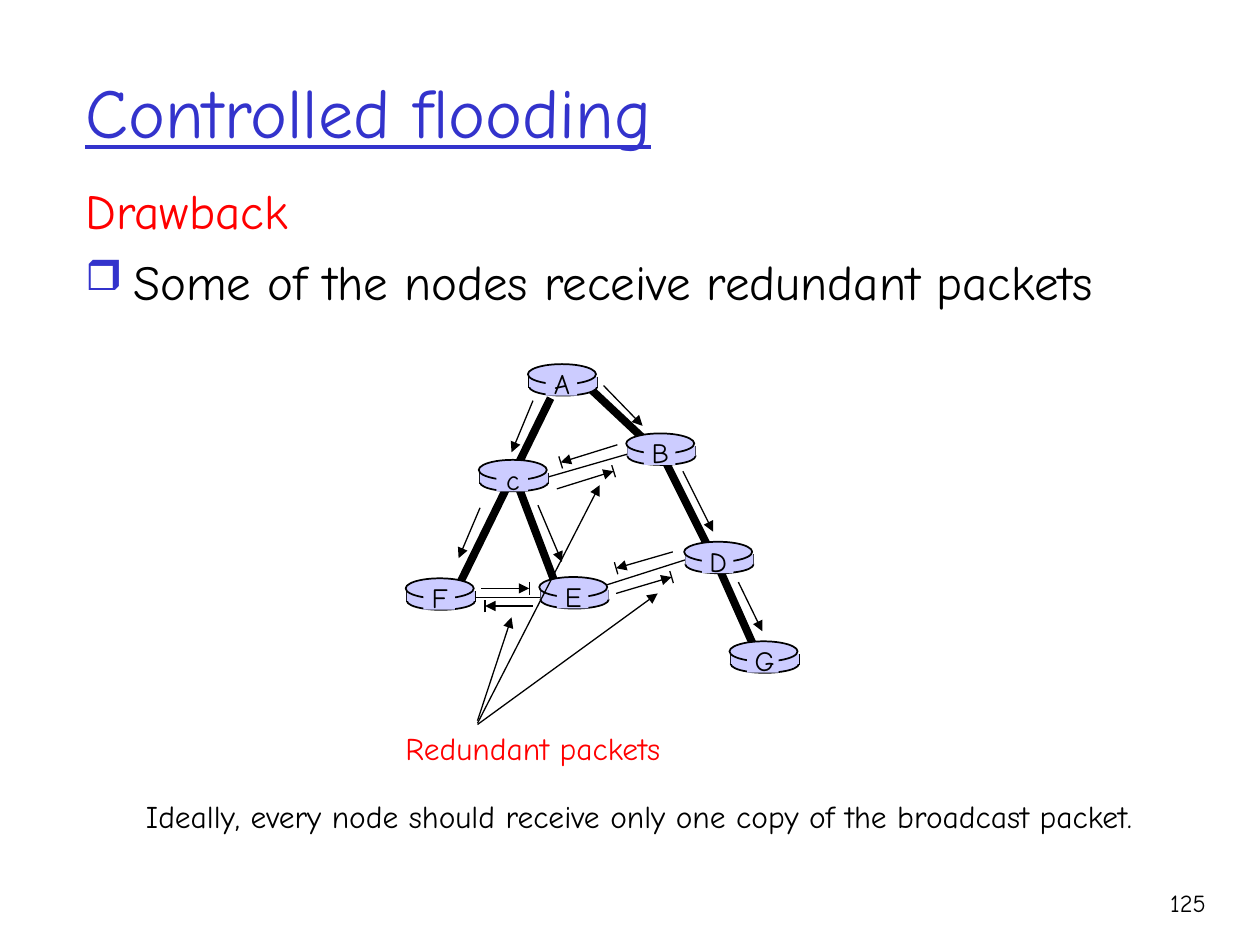
import math
from dataclasses import dataclass

from lxml import etree
from pptx import Presentation
from pptx import util as u
from pptx.dml.color import RGBColor
from pptx.enum import shapes, text
from pptx.oxml.ns import qn


@dataclass(frozen=True)
class Theme:
    font: str = "Comic Neue"
    blue: str = "3333CC"
    red: str = "FF0000"
    black: str = "000000"
    router: str = "CCCCFF"
    title: int = 40
    body: int = 28
    note: int = 18
    label: int = 16
    page: int = 14
    thin: float = 0.75
    edge: float = 1
    thick: float = 4.5


class Builder:
    def __init__(self, slide, theme):
        self.s = slide
        self.t = theme

    def box(self, x, y, w, h, anchor=text.MSO_ANCHOR.TOP, wrap=True):
        tf = self.s.shapes.add_textbox(*map(u.Inches, (x, y, w, h))).text_frame
        tf.word_wrap = wrap
        tf.vertical_anchor = anchor
        return tf

    def run(self, p, words, size, color, underline=None):
        r = p.add_run()
        r.text = words
        r.font.name = self.t.font
        r.font.size = u.Pt(size)
        r.font.color.rgb = RGBColor.from_string(color)
        r.font.underline = underline

    def text(self, x, y, w, h, words, size, color,
             align=text.PP_ALIGN.LEFT, wrap=True):
        p = self.box(x, y, w, h, wrap=wrap).paragraphs[0]
        p.alignment = align
        self.run(p, words, size, color)

    def bullet(self, p, char, color, percent):
        pPr = p._p.get_or_add_pPr()
        pPr.set("marL", str(u.Inches(0.38)))
        pPr.set("indent", str(u.Inches(-0.38)))
        if char:
            clr = etree.SubElement(pPr, qn("a:buClr"))
            etree.SubElement(clr, qn("a:srgbClr"), val=color)
            etree.SubElement(pPr, qn("a:buSzPct"), val=str(percent * 1000))
            etree.SubElement(pPr, qn("a:buChar"), char=char)
        else:
            etree.SubElement(pPr, qn("a:buNone"))

    def line(self, x1, y1, x2, y2, width, arrow=False):
        sp = self.s.shapes.add_connector(
            shapes.MSO_CONNECTOR.STRAIGHT, *map(u.Inches, (x1, y1, x2, y2)))
        sp.line.width = u.Pt(width)
        sp.line.color.rgb = RGBColor.from_string(self.t.black)
        if arrow:
            etree.SubElement(sp.line._get_or_add_ln(), qn("a:tailEnd"),
                             type="triangle")
        etree.SubElement(sp._element.spPr, qn("a:effectLst"))

    def arrow(self, x1, y1, x2, y2):
        self.line(x1, y1, x2, y2, self.t.thin, arrow=True)

    def stopped_arrow(self, x1, y1, x2, y2):
        """Arrow with a short bar across its tip."""
        self.arrow(x1, y1, x2, y2)
        k = 0.05 / math.hypot(x2 - x1, y2 - y1)
        dx, dy = (y1 - y2) * k, (x2 - x1) * k
        self.line(x2 - dx, y2 - dy, x2 + dx, y2 + dy, self.t.thin)

    def shape(self, kind, x, y, w, h, outlined=False):
        sp = self.s.shapes.add_shape(kind, *map(u.Inches, (x, y, w, h)))
        sp.shadow.inherit = False
        sp.fill.solid()
        sp.fill.fore_color.rgb = RGBColor.from_string(self.t.router)
        if outlined:
            sp.line.width = u.Pt(self.t.edge)
            sp.line.color.rgb = RGBColor.from_string(self.t.black)
        else:
            sp.line.fill.background()

    def router(self, name, x, y):
        oval, rect = shapes.MSO_SHAPE.OVAL, shapes.MSO_SHAPE.RECTANGLE
        w = 0.54
        self.shape(oval, x + 0.01, y + 0.11, w, 0.14, outlined=True)
        for side in (x + 0.01, x + 0.01 + w):
            self.line(side, y + 0.1, side, y + 0.19, self.t.edge)
        self.shape(rect, x + 0.01, y + 0.1, w, 0.08)
        self.shape(oval, x, y, w, 0.16, outlined=True)
        self.shape(rect, x + 0.14, y + 0.02, 0.25, 0.23)
        self.text(x + 0.1, y - 0.03, 0.34, 0.37, name, self.t.label,
                  self.t.black, text.PP_ALIGN.CENTER, wrap=False)


TREE_LINKS = [
    (5.25, 3.6, 5.62, 4.34), (5.64, 4.36, 6.01, 5.19), (4.41, 4.64, 4.11, 3.85),
    (4.69, 3.09, 5.17, 3.54), (4.37, 3.16, 3.63, 4.67),
]
OTHER_LINKS = [
    (5.45, 4.44, 4.79, 4.65), (4.44, 4.74, 3.64, 4.74), (4.3, 3.8, 5.03, 3.59),
]
ROUTERS = {
    "A": (4.19, 2.89), "B": (4.97, 3.44), "G": (5.79, 5.09), "D": (5.43, 4.3),
    "E": (4.28, 4.58), "c": (3.8, 3.65), "F": (3.22, 4.59),
}
FORWARDED = [
    (4.23, 3.18, 4.06, 3.59), (3.81, 4.03, 3.64, 4.43), (4.79, 3.06, 5.1, 3.38),
    (5.42, 3.74, 5.66, 4.22), (5.86, 4.62, 6.05, 5.01), (4.27, 4.01, 4.46, 4.46),
]
REDUNDANT = [
    (4.9, 3.53, 4.45, 3.67), (4.42, 3.88, 4.87, 3.74),
    (5.34, 4.38, 4.89, 4.51), (4.89, 4.71, 5.33, 4.58),
    (3.82, 4.67, 4.2, 4.67), (4.23, 4.81, 3.85, 4.81),
]
POINTERS = [
    (3.79, 5.72, 4.06, 4.9), (3.79, 5.74, 4.76, 3.85), (3.79, 5.75, 5.22, 4.71),
]


def main():
    prs = Presentation()
    prs.slide_width, prs.slide_height = u.Inches(10), u.Inches(7.5)
    t = Theme()
    b = Builder(prs.slides.add_slide(prs.slide_layouts[6]), t)

    # Title
    tf = b.box(0.58, 0.25, 8.5, 1.25, text.MSO_ANCHOR.MIDDLE)
    b.run(tf.paragraphs[0], "Controlled flooding", t.title, t.blue, True)

    # Body
    tf = b.box(0.58, 1.38, 8.5, 1.69)
    points = [("Drawback", t.red, None),
              ("Some of the nodes receive redundant packets", t.black, "❒")]
    for i, (words, color, char) in enumerate(points):
        p = tf.add_paragraph() if i else tf.paragraphs[0]
        p.space_before = u.Pt(7)
        b.bullet(p, char, t.blue, 85)
        b.run(p, words, t.body, color)

    # Network: links behind, routers in front
    for link in TREE_LINKS:
        b.line(*link, t.thick)
    for link in OTHER_LINKS:
        b.line(*link, t.thin)
    for name, (x, y) in ROUTERS.items():
        b.router(name, x, y)

    # Packets and pointers to the redundant ones
    for packet in FORWARDED:
        b.arrow(*packet)
    for packet in REDUNDANT:
        b.stopped_arrow(*packet)
    for pointer in POINTERS:
        b.arrow(*pointer)

    # Notes and page number
    b.text(3.12, 5.74, 2.23, 0.4, "Redundant packets", t.note, t.red, wrap=False)
    b.text(1.06, 6.28, 8.05, 0.4,
           "Ideally, every node should receive only one copy of the broadcast packet.",
           t.note, t.black, wrap=False)
    b.text(8.93, 7, 0.74, 0.5, "125", t.page, t.black, text.PP_ALIGN.RIGHT)

    prs.save("out.pptx")


if __name__ == "__main__":
    main()
